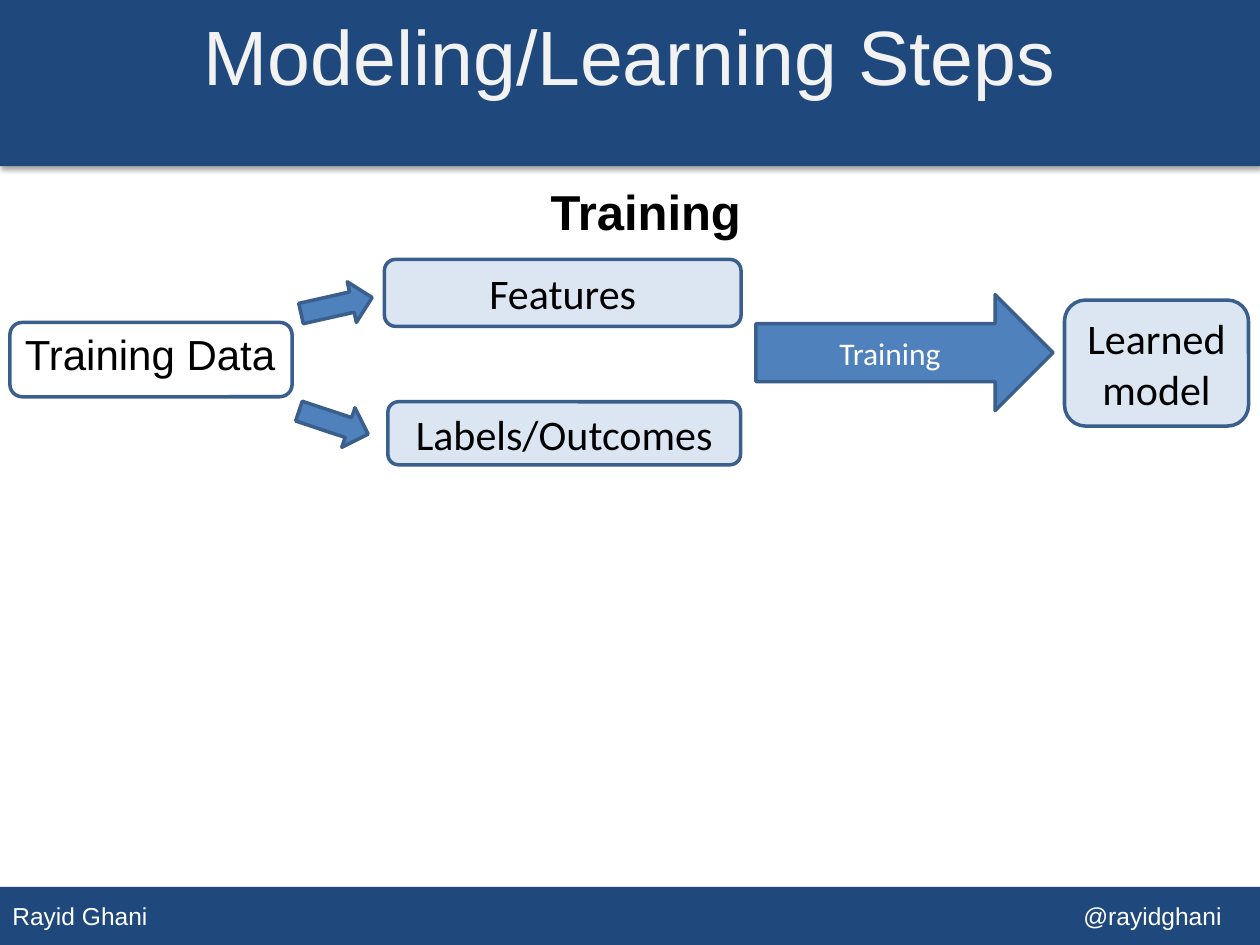
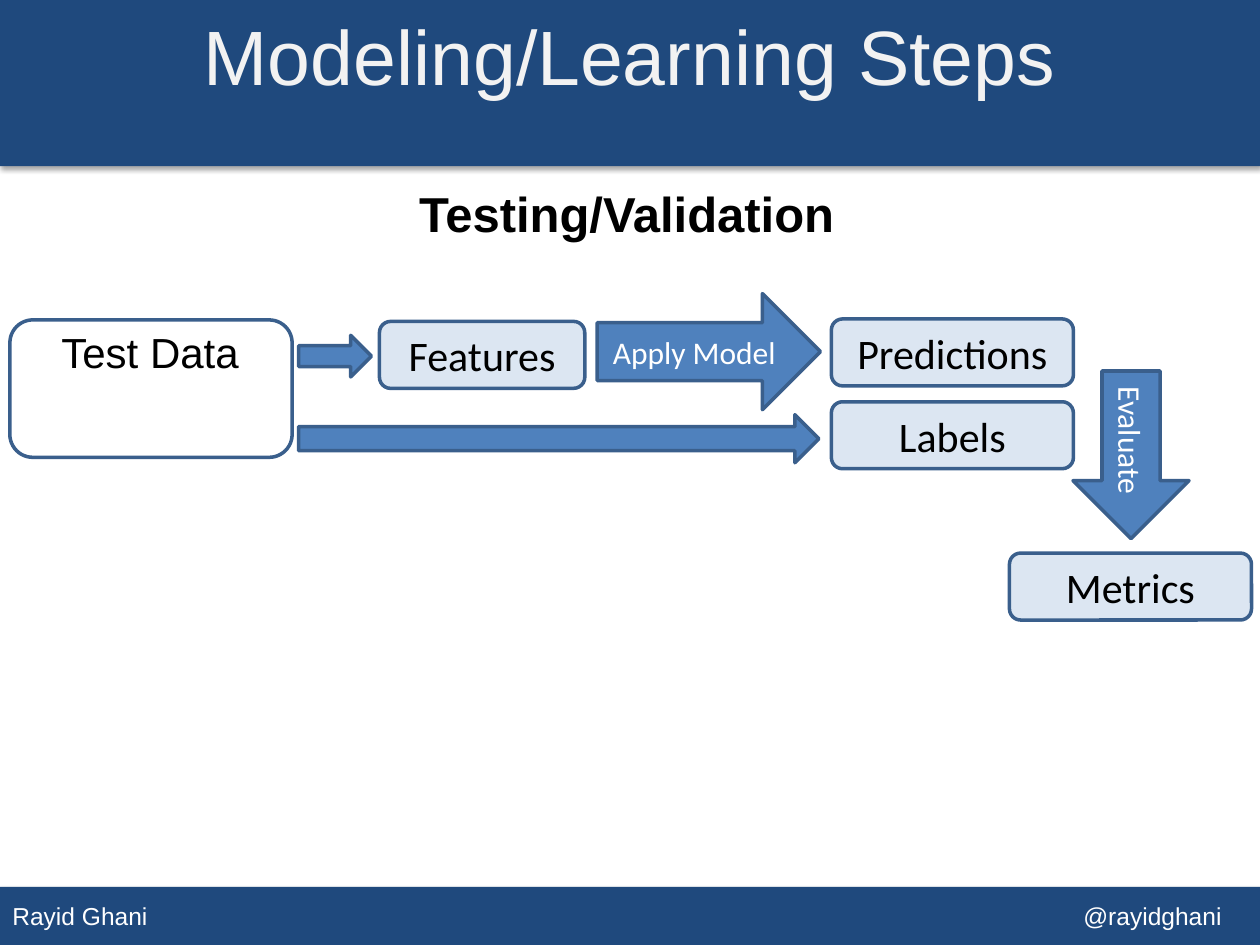
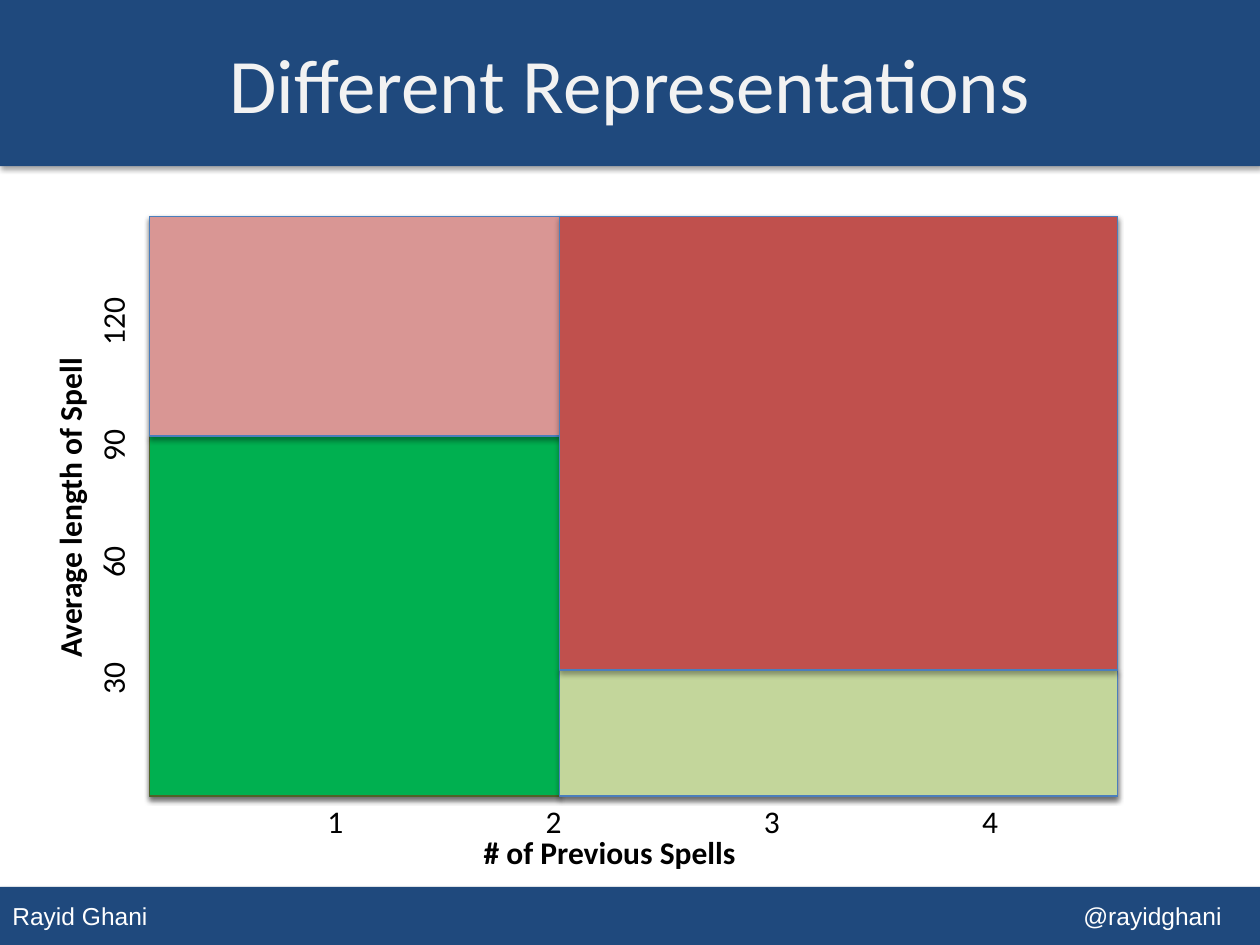
from lxml import etree
from pptx import Presentation
from pptx.dml.color import RGBColor
from pptx.enum.shapes import MSO_SHAPE as SHAPE
from pptx.enum.text import MSO_ANCHOR as ANCHOR, PP_ALIGN as ALIGN
from pptx.oxml.ns import qn
from pptx.util import Cm, Pt

COLORS = {
    "band": "1F497D",
    "title": "F2F2F2",
    "white": "FFFFFF",
    "black": "000000",
    "box": "DCE6F2",
    "arrow": "4F81BD",
    "outline": "3A5F8C",
    "region_line": "4B7EBC",
    "green_line": "4F6228",
    "green": "00B050",
    "pink": "D99694",
    "lime": "C3D69B",
    "red": "C0504D",
}
SLIDE_W, SLIDE_H = 25.4, 19.05
HEADER_H, FOOTER_H = 3.35, 1.17
STEPS_TITLE = "Modeling/Learning Steps"


def rgb(name):
    return RGBColor.from_string(COLORS[name])


def place(sp, left, top, width, height):
    sp.left, sp.top, sp.width, sp.height = Cm(left), Cm(top), Cm(width), Cm(height)


def write(sp, text, size, color="black", font="Calibri", bold=False, align=ALIGN.CENTER):
    tf = sp.text_frame
    tf.text = text
    p = tf.paragraphs[0]
    p.alignment = align
    for r in p.runs:
        r.font.size = Pt(size)
        r.font.name = font
        r.font.bold = bold
        r.font.color.rgb = rgb(color)
    return p


def add_tabs(p, positions):
    tabs = etree.SubElement(p._p.get_or_add_pPr(), qn("a:tabLst"))
    for pos in positions:
        etree.SubElement(tabs, qn("a:tab"), pos=str(Cm(pos)), algn="l")


def add_shadow(sp):
    effects = sp.element.spPr.find(qn("a:effectLst"))
    shadow = etree.SubElement(
        effects, qn("a:outerShdw"), blurRad=str(Pt(3.1)), dist=str(Pt(1.8)),
        dir="5400000", rotWithShape="0")
    color = etree.SubElement(shadow, qn("a:srgbClr"), val=COLORS["black"])
    etree.SubElement(color, qn("a:alpha"), val="35000")


def add_block(shapes, kind, at, fill=None, line=None, width=2, shadow=False):
    sp = shapes.add_shape(kind, *map(Cm, at))
    sp.shadow.inherit = False
    if fill:
        sp.fill.solid()
        sp.fill.fore_color.rgb = rgb(fill)
    else:
        sp.fill.background()
    if line:
        sp.line.color.rgb = rgb(line)
        sp.line.width = Pt(width)
    else:
        sp.line.fill.background()
    if shadow:
        add_shadow(sp)
    return sp


def add_box(s, text, *at):
    sp = add_block(s.shapes, SHAPE.ROUNDED_RECTANGLE, at, "box", "outline")
    write(sp, text, 24)


def add_arrow(s, *at, text=None, rotation=0):
    sp = add_block(s.shapes, SHAPE.RIGHT_ARROW, at, "arrow", "outline")
    sp.rotation = rotation
    if text:
        write(sp, text, 18, "white")


def add_text(shapes, text, at, size, wrap=False, rotation=0, **style):
    sp = shapes.add_textbox(*map(Cm, at))
    sp.text_frame.word_wrap = wrap
    sp.rotation = rotation
    return write(sp, text, size, **style)


def add_heading(s, text, *at):
    add_text(s.shapes, text, at, 28, font="Arial", bold=True, align=ALIGN.LEFT)


def add_data_source(s, text, top, height):
    group = s.shapes.add_group_shape()
    add_text(group.shapes, text, (0.13, top, 5.79, 1.17), 24, wrap=True, font="Arial")
    add_block(group.shapes, SHAPE.ROUNDED_RECTANGLE, (0.2, top, 5.69, height), line="outline")


def add_axis_title(s, text, *at, rotation=0):
    add_text(s.shapes, text, at, 18, rotation=rotation, bold=True, align=ALIGN.LEFT)


def add_ticks(s, labels, step, *at, rotation=0):
    p = add_text(s.shapes, "\t".join(labels), at, 18, wrap=True,
                 rotation=rotation, align=ALIGN.LEFT)
    add_tabs(p, [step * i for i in range(1, len(labels))])


def add_bands(layout, s):
    footer = add_block(s.shapes, SHAPE.RECTANGLE,
                       (0, SLIDE_H - FOOTER_H, SLIDE_W, FOOTER_H), "band", shadow=True)
    p = write(footer, "Rayid Ghani\t@rayidghani", 14, "white", "Arial", align=ALIGN.LEFT)
    add_tabs(p, [21.59])
    header = add_block(s.shapes, SHAPE.RECTANGLE, (0, 0, SLIDE_W, HEADER_H), "band", shadow=True)
    for i, band in enumerate((footer, header)):
        band.element.nvSpPr.cNvPr.set("id", str(101 + i))
        layout.shapes.element.insert(2 + i, band.element)


def add_slide(prs, layout, title, at, font):
    s = prs.slides.add_slide(layout)
    place(s.shapes.title, *at)
    s.shapes.title.text_frame.vertical_anchor = ANCHOR.MIDDLE
    write(s.shapes.title, title, 44, "title", font)
    return s


def add_steps_slide(prs, layout):
    return add_slide(prs, layout, STEPS_TITLE, (1.27, 0, 22.86, 2.21), "Arial")


def build_training(s):
    add_heading(s, "Training", 10.85, 3.53, 4.39, 1.45)
    add_data_source(s, "Training Data", 6.5, 1.5)
    add_box(s, "Features", 7.75, 5.23, 7.19, 1.35)
    add_box(s, "Labels/Outcomes", 7.82, 8.1, 7.11, 1.27)
    add_box(s, "Learned model", 21.46, 6.05, 3.71, 2.54)
    add_arrow(s, 6.05, 5.74, 1.47, 0.84, rotation=347.3)
    add_arrow(s, 5.99, 8.1, 1.47, 0.84, rotation=18.4)
    add_arrow(s, 15.24, 5.94, 5.99, 2.34, text="Training")


def build_testing(s):
    add_heading(s, "Testing/Validation", 8.2, 3.58, 8.99, 1.45)
    add_data_source(s, "Test Data", 6.45, 2.77)
    add_box(s, "Features", 7.65, 6.48, 4.14, 1.35)
    add_box(s, "Predictions", 16.76, 6.43, 4.88, 1.35)
    add_box(s, "Labels", 16.76, 8.1, 4.88, 1.35)
    add_box(s, "Metrics", 20.35, 11.15, 4.88, 1.35)
    add_arrow(s, 6.02, 6.76, 1.47, 0.84)
    add_arrow(s, 6.02, 8.36, 10.49, 0.97)
    add_arrow(s, 12.04, 5.92, 4.5, 2.34, text="Apply Model")
    add_arrow(s, 21.11, 8.0, 3.38, 2.34, text="Evaluate", rotation=90)


def build_representations(s):
    left, split, right = 3.02, 11.28, 22.53
    top, left_split, right_split, bottom = 4.37, 8.79, 13.51, 16.05
    regions = [
        (left, top, right, bottom, "white", "region_line"),
        (left, left_split, split, bottom, "green", "green_line"),
        (left, top, split, left_split, "pink", "region_line"),
        (split, right_split, right, bottom, "lime", "region_line"),
        (split, top, right, right_split, "red", "region_line"),
    ]
    for x1, y1, x2, y2, fill, line in regions:
        add_block(s.shapes, SHAPE.RECTANGLE, (x1, y1, x2 - x1, y2 - y1),
                  fill, line, 0.75, shadow=True)
    add_axis_title(s, "# of Previous Spells", 9.5, 16.66, 5.64, 1.02)
    add_axis_title(s, "Average length of Spell", -1.9, 9.7, 6.6, 1.02, rotation=270)
    add_ticks(s, ["1", "2", "3", "4"], 4.4, 6.35, 16.05, 16.18, 1.02)
    add_ticks(s, ["30", "60", "90", "120"], 2.34, -5.82, 5.64, 16.18, 1.02, rotation=270)


def main():
    prs = Presentation()
    prs.slide_width, prs.slide_height = Cm(SLIDE_W), Cm(SLIDE_H)
    layout = prs.slide_layouts[5]
    training = add_steps_slide(prs, layout)
    add_bands(layout, training)
    build_training(training)
    build_testing(add_steps_slide(prs, layout))
    build_representations(add_slide(
        prs, layout, "Different Representations", (0, 0.08, SLIDE_W, 3.18), "Calibri"))
    prs.save("out.pptx")


if __name__ == "__main__":
    main()
